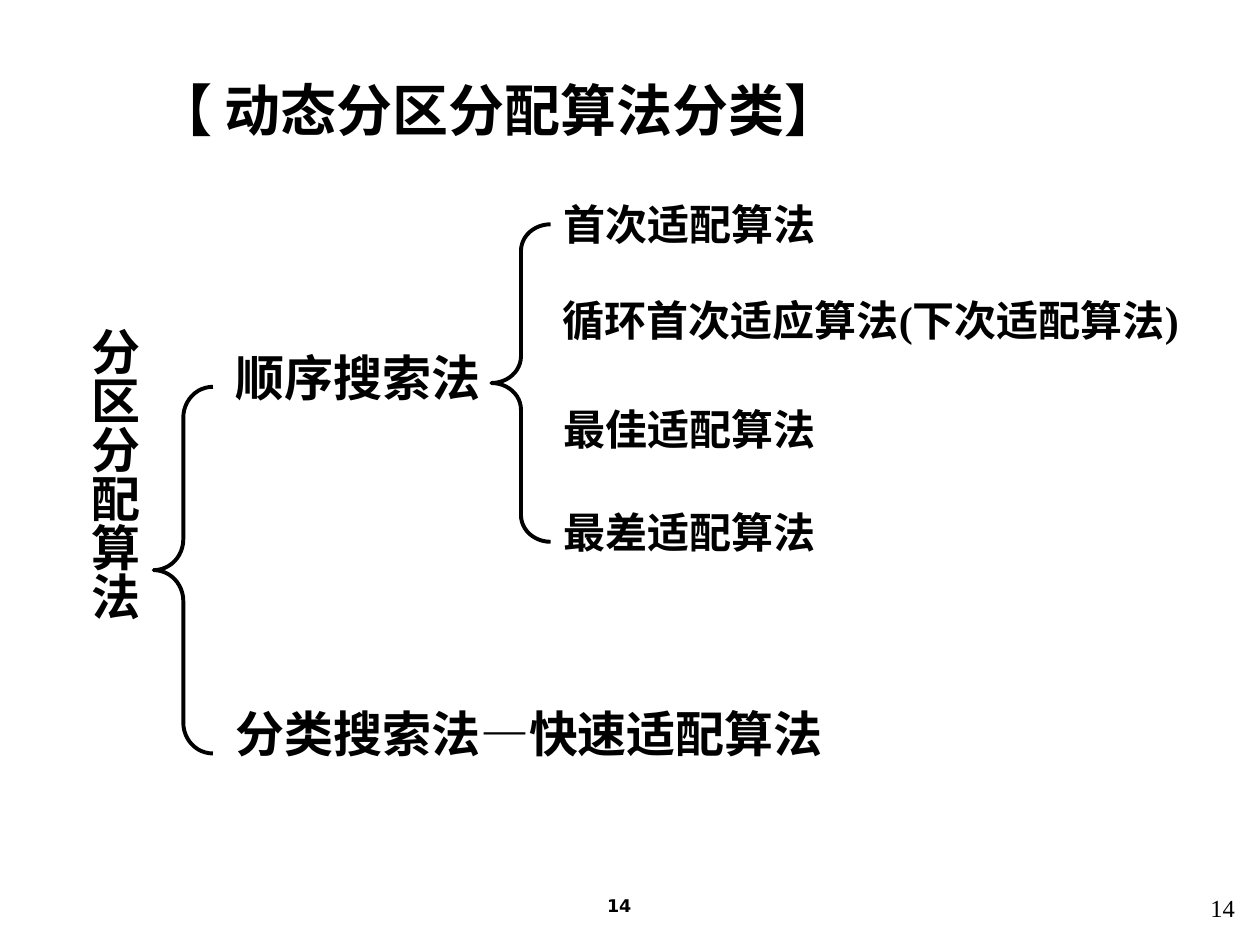
"""Build a slide that classifies the dynamic partition allocation algorithms."""
import pptx
import pptx.dml.color
import pptx.enum.shapes
import pptx.enum.text
import pptx.util

BLACK = pptx.dml.color.RGBColor(0, 0, 0)
WHITE = pptx.dml.color.RGBColor(255, 255, 255)
SERIF = "Times New Roman"
SANS = "DejaVu Sans"
CHINESE = "Noto Sans CJK SC"
EMU_PER_PX = 9144
ALIGN = pptx.enum.text.PP_ALIGN


def px(length):
    return pptx.util.Emu(length * EMU_PER_PX)


def add_run(paragraph, text, *, size, font=SERIF, bold=True):
    run = paragraph.add_run()
    run.text = text
    run.font.size = pptx.util.Pt(size)
    run.font.bold = bold
    run.font.color.rgb = BLACK
    run.font.name = font
    east_asian = run.font._element.makeelement(pptx.oxml.ns.qn("a:ea"), {"typeface": CHINESE})
    run.font._element.find(pptx.oxml.ns.qn("a:latin")).addnext(east_asian)


class SlideBuilder:
    def __init__(self, slide):
        self.slide = slide
        background = slide.background.fill
        background.solid()
        background.fore_color.rgb = WHITE

    def text(self, box, *pieces, align=ALIGN.LEFT, line_spacing=0.9, vertical=False, **style):
        shape = self.slide.shapes.add_textbox(*map(px, box))
        frame = shape.text_frame
        frame.word_wrap = True
        if vertical:
            frame._txBody.bodyPr.set("vert", "eaVert")
            frame.margin_left = frame.margin_right = px(5)
            frame.margin_top = frame.margin_bottom = px(10)
        paragraph = frame.paragraphs[0]
        paragraph.alignment = align
        paragraph.line_spacing = line_spacing
        for text, font in pieces:
            add_run(paragraph, text, font=font, **style)

    def brace(self, box, curve):
        shape = self.slide.shapes.add_shape(
            pptx.enum.shapes.MSO_SHAPE.LEFT_BRACE, *map(px, box))
        shape.adjustments[0] = curve
        shape.shadow.inherit = False
        shape.fill.background()
        shape.line.color.rgb = BLACK
        shape.line.width = pptx.util.Pt(2.25)


def main():
    presentation = pptx.Presentation()
    presentation.slide_width = px(1000)
    presentation.slide_height = px(750)
    builder = SlideBuilder(presentation.slides.add_slide(presentation.slide_layouts[6]))

    builder.text((944, 704, 46, 44), ("14", SERIF), size=14, bold=False,
                 align=ALIGN.RIGHT, line_spacing=1.0)
    builder.text((375, 705, 233, 28), ("14", SANS), size=10,
                 align=ALIGN.CENTER, line_spacing=1.0)
    builder.text((114, 55, 750, 64), ("【 动态分区分配算法分类】", CHINESE),
                 size=32, line_spacing=1.0)

    builder.text((52, 250, 62, 331), ("分区分配算法", SERIF), size=28, vertical=True)
    builder.brace((122, 307, 47, 291), 0.52)
    builder.text((177, 276, 331, 52), ("顺序搜索法", SERIF), size=28)
    builder.text((177, 559, 535, 52), ("分类搜索法", SERIF), ("—", CHINESE),
                 ("快速适配算法", SERIF), size=28)

    builder.brace((390, 178, 47, 252), 0.45)
    algorithms = (
        (157, 331, 46, "首次适配算法"),
        (233, 513, 82, "循环首次适应算法(下次适配算法)"),
        (320, 331, 46, "最佳适配算法"),
        (402, 331, 46, "最差适配算法"),
    )
    for top, width, height, name in algorithms:
        builder.text((437, top, width, height), (name, SERIF), size=24)

    presentation.save("out.pptx")


if __name__ == "__main__":
    main()
